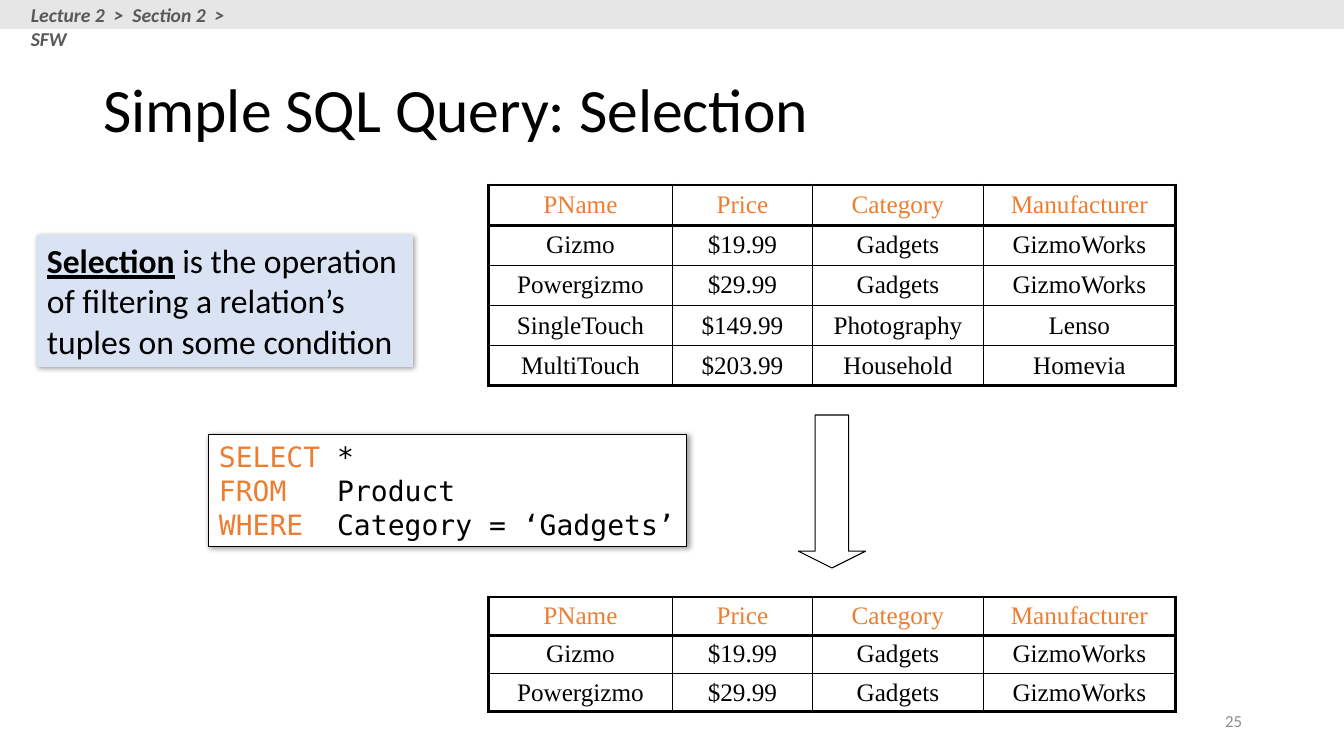
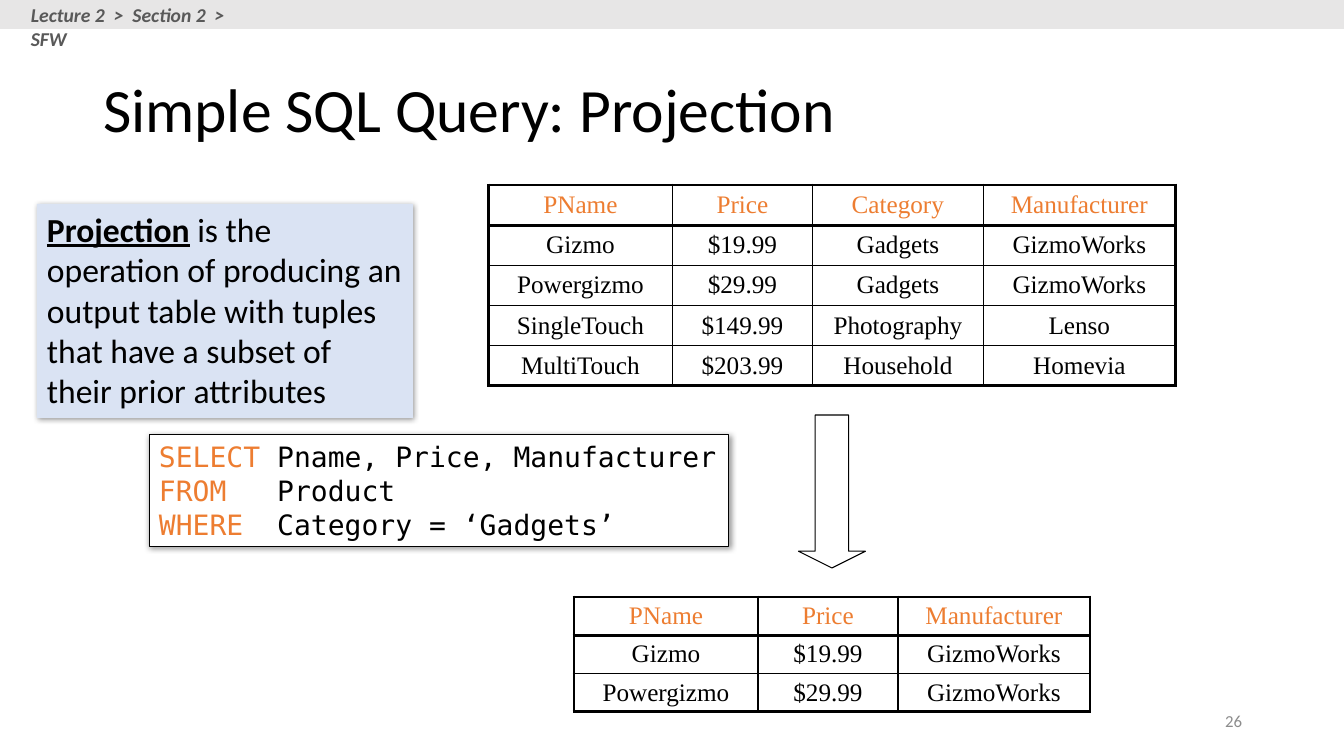
from dataclasses import dataclass

from lxml.etree import SubElement
from pptx import Presentation
from pptx.dml.color import RGBColor
from pptx.enum.shapes import MSO_SHAPE as SHAPE
from pptx.enum.text import MSO_ANCHOR as ANCHOR, PP_ALIGN as ALIGN
from pptx.oxml.ns import qn
from pptx.util import Emu, Pt

SCALE = 914400 / 100.8


@dataclass(frozen=True)
class Theme:
    """Colours, fonts and type sizes shared by the slides."""
    black: str = "000000"
    white: str = "FFFFFF"
    accent: str = "ED7D31"
    band: str = "E7E6E6"
    crumb: str = "595959"
    number: str = "8C8C8C"
    note: str = "DAE3F3"
    sans: str = "Calibri"
    serif: str = "Times New Roman"
    mono: str = "DejaVu Sans Mono"
    title_pt: int = 44
    note_pt: int = 24
    code_pt: int = 20
    table_pt: int = 18
    crumb_pt: int = 14
    number_pt: int = 12
    thick: float = 2.25
    thin: float = 1
    outline: float = 0.75


T = Theme()
AXIS = 832
WIDTHS = {"PName": 184, "Price": 140, "Category": 171, "Manufacturer": 192}
PRODUCTS = [
    ("Gizmo", "$19.99", "Gadgets", "GizmoWorks"),
    ("Powergizmo", "$29.99", "Gadgets", "GizmoWorks"),
    ("SingleTouch", "$149.99", "Photography", "Lenso"),
    ("MultiTouch", "$203.99", "Household", "Homevia"),
]
FROM_WHERE = [("FROM", "   Product"), ("WHERE", "  Category = ‘Gadgets’")]


def px(n):
    """Turn pixels into EMU."""
    return Emu(round(n * SCALE))


def box(*lengths):
    """Turn left, top, width and height in pixels into EMU."""
    return [px(n) for n in lengths]


def rgb(color):
    """Turn a hex string into a colour."""
    return RGBColor.from_string(color)


def style(p, name, size, color, bold=False, italic=False, align=ALIGN.LEFT):
    """Format a whole paragraph."""
    p.alignment = align
    f = p.font
    f.name, f.size, f.bold, f.italic = name, Pt(size), bold, italic
    f.color.rgb = rgb(color)


def add_run(p, text):
    """Append a run and return it."""
    r = p.add_run()
    r.text = text
    return r


def add_text(shapes, text, at, *font, anchor=ANCHOR.TOP, **options):
    """Add a wrapped text box of one paragraph."""
    tf = shapes.add_textbox(*box(*at)).text_frame
    tf.word_wrap = True
    tf.vertical_anchor = anchor
    p = tf.paragraphs[0]
    add_run(p, text)
    style(p, *font, **options)


def add_panel(shapes, kind, at, fill=None, line=None):
    """Add a flat preset shape."""
    sp = shapes.add_shape(kind, *box(*at))
    sp.shadow.inherit = False
    if fill:
        sp.fill.solid()
        sp.fill.fore_color.rgb = rgb(fill)
    else:
        sp.fill.background()
    if line:
        sp.line.color.rgb = rgb(line)
        sp.line.width = Pt(T.outline)
    else:
        sp.line.fill.background()
    return sp


def add_shadow(sp):
    """Give a shape a soft shadow to the lower right."""
    effects = sp._element.spPr.find(qn("a:effectLst"))
    shadow = SubElement(effects, qn("a:outerShdw"), blurRad=str(Pt(4)),
                        dist=str(Pt(1)), dir="2700000", algn="tl", rotWithShape="0")
    color = SubElement(shadow, qn("a:srgbClr"), val=T.black)
    SubElement(color, qn("a:alpha"), val="40000")


def add_card(slide, at, fill, line=None, wrap=True):
    """Add a shadowed text card and return its paragraph."""
    sp = add_panel(slide.shapes, SHAPE.RECTANGLE, at, fill, line)
    add_shadow(sp)
    tf = sp.text_frame
    tf.word_wrap = wrap
    tf.vertical_anchor = ANCHOR.TOP
    return tf.paragraphs[0]


def add_definition(slide, term, rest, top, height):
    """Add the definition card with its term underlined."""
    p = add_card(slide, (37, top, 376, height), T.note)
    style(p, T.sans, T.note_pt, T.black)
    f = add_run(p, term).font
    f.bold = f.underline = True
    add_run(p, rest)


def add_query(slide, lines, left, width):
    """Add the SQL card with coloured keywords."""
    p = add_card(slide, (left, 435, width, 112), T.white, T.black, wrap=False)
    style(p, T.mono, T.code_pt, T.black)
    for i, (keyword, rest) in enumerate(lines):
        if i:
            p.add_line_break()
        add_run(p, keyword).font.color.rgb = rgb(T.accent)
        add_run(p, rest)


def set_borders(cell, **widths):
    """Draw the cell's sides with the given point widths."""
    tcPr = cell._tc.get_or_add_tcPr()
    for i, (side, width) in enumerate(widths.items()):
        ln = tcPr.makeelement(qn(f"a:ln{side}"), {"w": str(Pt(width))})
        fill = SubElement(ln, qn("a:solidFill"))
        SubElement(fill, qn("a:srgbClr"), val=T.black)
        tcPr.insert(i, ln)


def add_relation(slide, columns, rows, top, row_height):
    """Add a relation as a table centred on the arrow's axis."""
    names = list(WIDTHS)
    width = sum(WIDTHS[c] for c in columns)
    grid = [columns] + [[row[names.index(c)] for c in columns] for row in rows]
    at = box(AXIS - width / 2, top, width, row_height * len(grid))
    table = slide.shapes.add_table(len(grid), len(columns), *at).table
    table.horz_banding = False
    for column, name in zip(table.columns, columns):
        column.width = px(WIDTHS[name])
    for i, values in enumerate(grid):
        table.rows[i].height = px(row_height)
        for j, value in enumerate(values):
            cell = table.cell(i, j)
            cell.fill.background()
            cell.vertical_anchor = ANCHOR.MIDDLE
            cell.margin_top = cell.margin_bottom = px(4)
            p = cell.text_frame.paragraphs[0]
            add_run(p, value)
            style(p, T.serif, T.table_pt, T.black if i else T.accent, align=ALIGN.CENTER)
            set_borders(cell,
                        L=T.thin if j else T.thick,
                        R=T.thick if j == len(columns) - 1 else T.thin,
                        T=T.thick if i < 2 else T.thin,
                        B=T.thick if i in (0, len(grid) - 1) else T.thin)


def add_arrow(slide):
    """Add the block arrow from the input to the result."""
    sp = add_panel(slide.shapes, SHAPE.DOWN_ARROW, (AXIS - 33.5, 415, 67, 153), line=T.black)
    sp.adjustments[0], sp.adjustments[1] = 0.5, 0.25


def add_breadcrumb(slide):
    """Add the top band with the place in the lecture."""
    shapes = slide.shapes.add_group_shape().shapes
    add_panel(shapes, SHAPE.RECTANGLE, (0, 0, 1344, 29), T.band)
    add_text(shapes, "Lecture 2  >  Section 2  >  SFW", (21, -2, 240, 34),
             T.sans, T.crumb_pt, T.crumb, bold=True, italic=True)


def add_title(slide, text):
    """Fill and place the title placeholder."""
    sp = slide.shapes.title
    sp.left, sp.top, sp.width, sp.height = box(93, 40, 1159, 146)
    tf = sp.text_frame
    tf.vertical_anchor = ANCHOR.MIDDLE
    p = tf.paragraphs[0]
    add_run(p, text)
    style(p, T.sans, T.title_pt, T.black)
    p.line_spacing = 0.9


def add_query_slide(prs, number, operation, definition, query, result):
    """Add a slide that runs one query on the product relation."""
    slide = prs.slides.add_slide(prs.slide_layouts[5])
    add_text(slide.shapes, str(number), (950, 701, 302, 40), T.sans, T.number_pt,
             T.number, anchor=ANCHOR.MIDDLE, align=ALIGN.RIGHT)
    add_title(slide, f"Simple SQL Query: {operation}")
    add_relation(slide, list(WIDTHS), PRODUCTS, 185, 40.2)
    add_arrow(slide)
    add_relation(slide, result, PRODUCTS[:2], 597, 38)
    add_breadcrumb(slide)
    add_query(slide, *query)
    add_definition(slide, operation, *definition)


def main():
    """Build and save the deck."""
    prs = Presentation()
    prs.slide_width, prs.slide_height = px(1344), px(756)
    add_query_slide(
        prs, 25, "Selection",
        (" is the operation of filtering a relation’s tuples on some condition", 235, 132),
        ([("SELECT", " *")] + FROM_WHERE, 209, 478),
        list(WIDTHS))
    add_query_slide(
        prs, 26, "Projection",
        (" is the operation of producing an output table with tuples "
         "that have a subset of their prior attributes", 204, 214),
        ([("SELECT", " Pname, Price, Manufacturer")] + FROM_WHERE, 149, 580),
        ["PName", "Price", "Manufacturer"])
    prs.save("out.pptx")


main()
